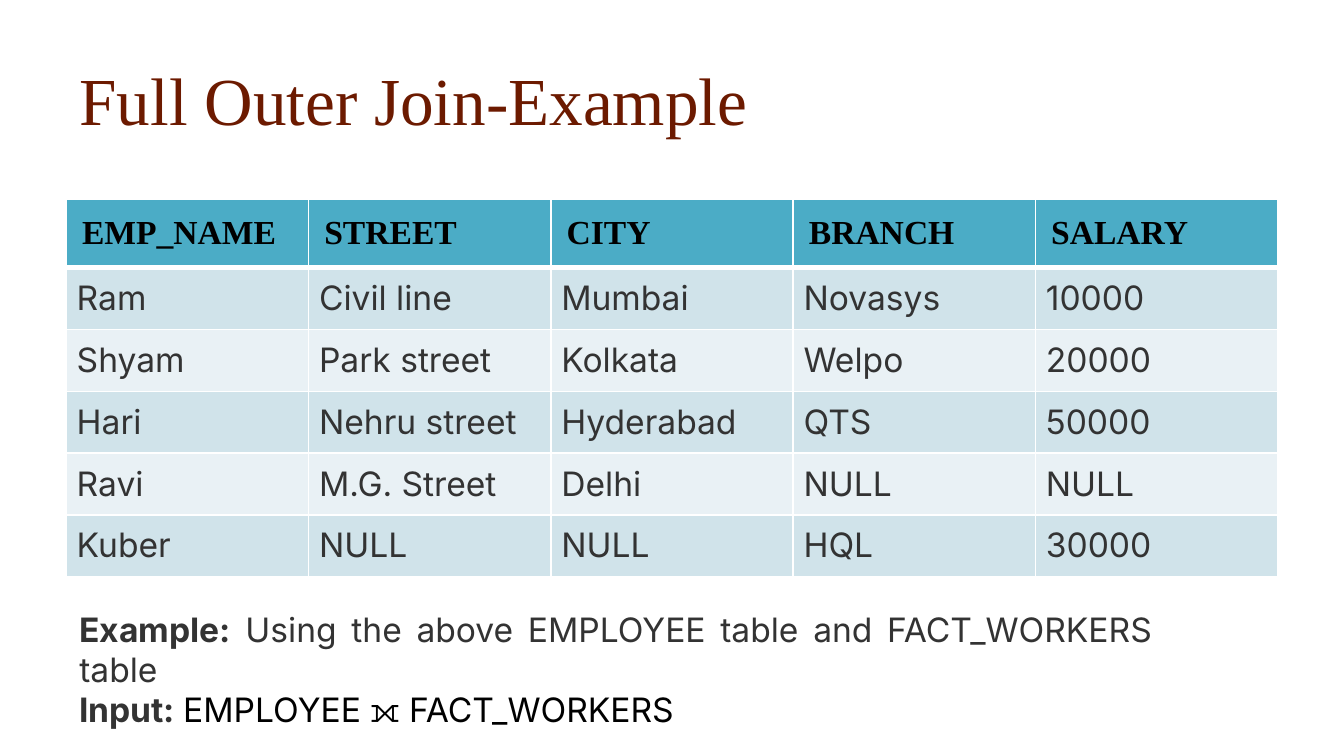
from dataclasses import dataclass

from lxml.etree import SubElement
from pptx import Presentation
from pptx.dml.color import RGBColor
from pptx.enum.text import MSO_ANCHOR, MSO_AUTO_SIZE, PP_ALIGN
from pptx.oxml.ns import qn
from pptx.util import Cm, Pt


@dataclass(frozen=True)
class Theme:
    heading_font: str = "Times New Roman"
    body_font: str = "Inter"
    title_size: int = 36
    body_size: int = 18
    title_color: str = "6C1A00"
    text_color: str = "333333"
    strong_color: str = "000000"
    header_fill: str = "4BACC6"
    band_fills: tuple = ("D0E3EA", "E9F1F5")
    border_color: str = "FFFFFF"
    thin_border: int = 1
    thick_border: int = 3


class SlideBuilder:
    def __init__(self, slide, theme):
        self.slide = slide
        self.theme = theme

    def add_run(self, paragraph, text, font, size, color, bold=False):
        run = paragraph.add_run()
        run.text = text
        run.font.name = font
        run.font.size = Pt(size)
        run.font.bold = bold
        run.font.color.rgb = RGBColor.from_string(color)

    def title(self, text, left, top, width, height):
        theme = self.theme
        shape = self.slide.shapes.title
        shape.left, shape.top, shape.width, shape.height = left, top, width, height
        frame = shape.text_frame
        frame.vertical_anchor = MSO_ANCHOR.MIDDLE
        paragraph = frame.paragraphs[0]
        paragraph.alignment = PP_ALIGN.LEFT
        self.add_run(paragraph, text, theme.heading_font, theme.title_size, theme.title_color)

    def borders(self, cell, top, bottom):
        thin = self.theme.thin_border
        properties = cell._tc.get_or_add_tcPr()
        for side, width in (("L", thin), ("R", thin), ("T", top), ("B", bottom)):
            line = SubElement(properties, qn(f"a:ln{side}"), w=str(Pt(width)))
            fill = SubElement(line, qn("a:solidFill"))
            SubElement(fill, qn("a:srgbClr"), val=self.theme.border_color)

    def cell(self, cell, text, row_index):
        theme = self.theme
        is_header = row_index == 0
        inset = Cm(0.3) if is_header else Cm(0.2)
        cell.margin_left = cell.margin_right = inset
        cell.margin_top = cell.margin_bottom = inset
        top = theme.thick_border if row_index == 1 else theme.thin_border
        bottom = theme.thick_border if is_header else theme.thin_border
        self.borders(cell, top, bottom)
        fill = theme.header_fill if is_header else theme.band_fills[(row_index - 1) % 2]
        cell.fill.solid()
        cell.fill.fore_color.rgb = RGBColor.from_string(fill)
        paragraph = cell.text_frame.paragraphs[0]
        paragraph.alignment = PP_ALIGN.LEFT if is_header else PP_ALIGN.JUSTIFY
        font = theme.heading_font if is_header else theme.body_font
        color = theme.strong_color if is_header else theme.text_color
        self.add_run(paragraph, text, font, theme.body_size, color, is_header)

    def table(self, rows, left, top, width, row_height):
        frame = self.slide.shapes.add_table(
            len(rows), len(rows[0]), left, top, width, row_height * len(rows)
        )
        for row_index, row in enumerate(rows):
            for column_index, text in enumerate(row):
                self.cell(frame.table.cell(row_index, column_index), text, row_index)

    def text(self, paragraphs, left, top, width, height):
        theme = self.theme
        frame = self.slide.shapes.add_textbox(left, top, width, height).text_frame
        frame.word_wrap = True
        frame.auto_size = MSO_AUTO_SIZE.SHAPE_TO_FIT_TEXT
        for index, (label, detail, color) in enumerate(paragraphs):
            paragraph = frame.add_paragraph() if index else frame.paragraphs[0]
            paragraph.alignment = PP_ALIGN.JUSTIFY
            self.add_run(paragraph, label, theme.body_font, theme.body_size, theme.text_color, True)
            self.add_run(paragraph, detail, theme.body_font, theme.body_size, color)


def main():
    presentation = Presentation()
    presentation.slide_width = Cm(25.4)
    presentation.slide_height = Cm(14.29)
    slide = presentation.slides.add_slide(presentation.slide_layouts[5])
    theme = Theme()
    builder = SlideBuilder(slide, theme)
    left, width = Cm(1.25), Cm(22.9)

    builder.title("Full Outer Join-Example", left, Cm(0.8), width, Cm(2.13))
    employees = [
        ("EMP_NAME", "STREET", "CITY", "BRANCH", "SALARY"),
        ("Ram", "Civil line", "Mumbai", "Novasys", "10000"),
        ("Shyam", "Park street", "Kolkata", "Welpo", "20000"),
        ("Hari", "Nehru street", "Hyderabad", "QTS", "50000"),
        ("Ravi", "M.G. Street", "Delhi", "NULL", "NULL"),
        ("Kuber", "NULL", "NULL", "HQL", "30000"),
    ]
    builder.table(employees, left, Cm(3.76), width, Cm(1.04))
    notes = [
        ("Example:", " Using the above EMPLOYEE table and FACT_WORKERS table", theme.text_color),
        ("Input: ", "EMPLOYEE ⟗ FACT_WORKERS", theme.strong_color),
    ]
    builder.text(notes, left, Cm(11.38), Cm(20.78), Cm(2.57))
    presentation.save("out.pptx")


if __name__ == "__main__":
    main()
